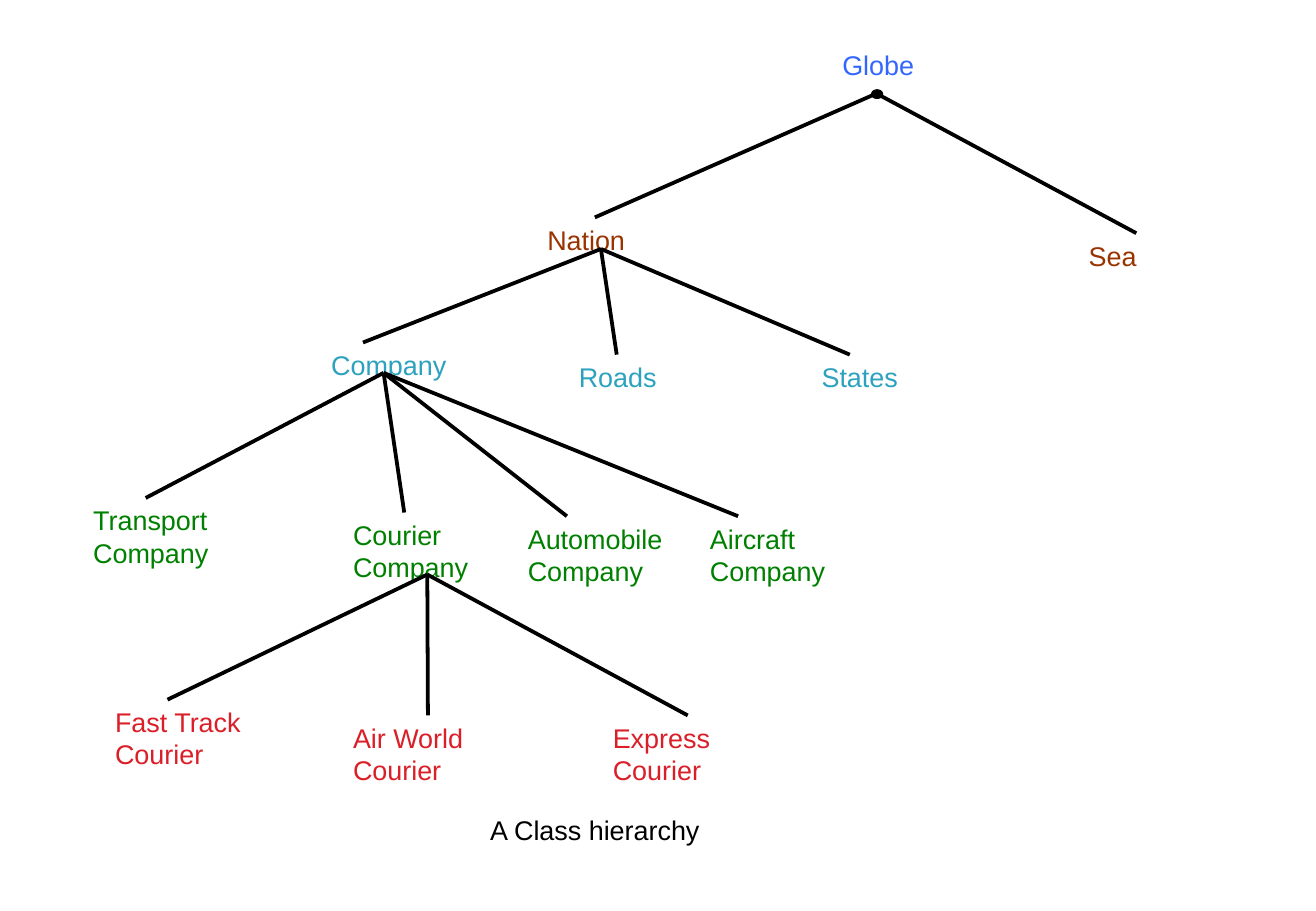
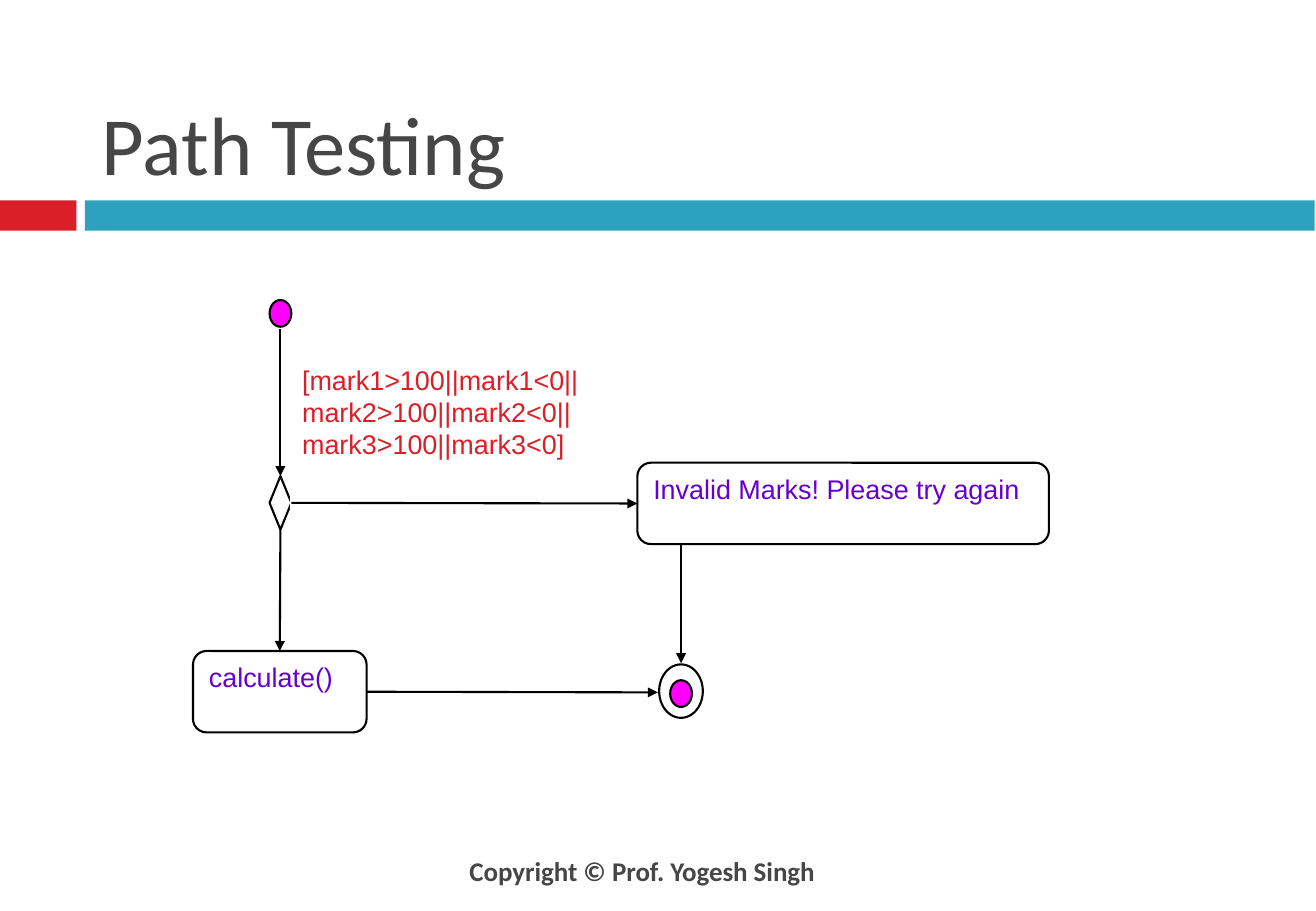
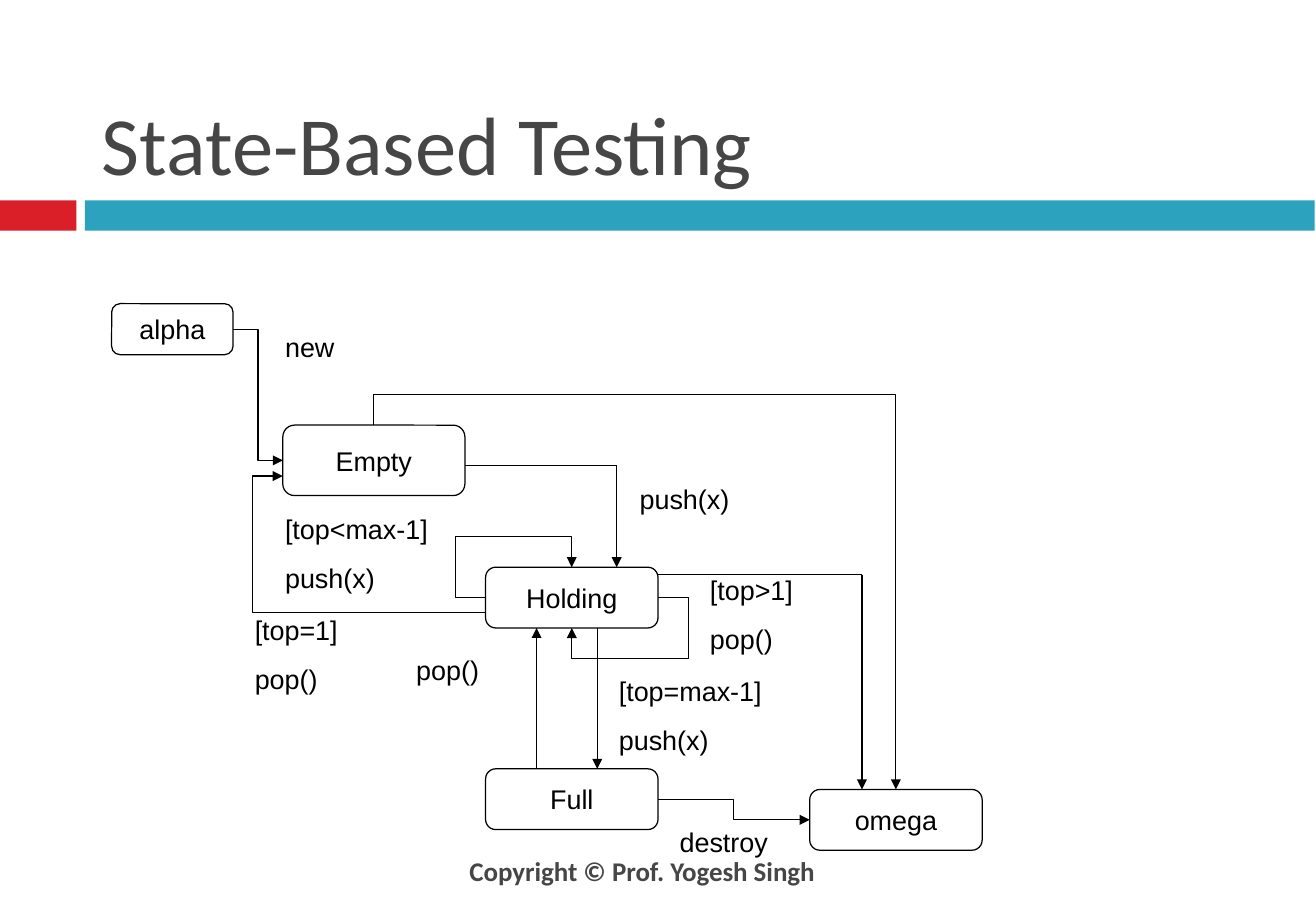
"""Build three slides on class trees, path testing and state-based testing."""
from dataclasses import dataclass
from typing import NamedTuple

import lxml.etree
import pptx
import pptx.dml.color
import pptx.enum.shapes
import pptx.enum.text
import pptx.oxml.ns
import pptx.shapes.autoshape
import pptx.shapes.connector
import pptx.slide
import pptx.util

Inches = pptx.util.Inches
Shape = pptx.shapes.autoshape.Shape
Line = pptx.shapes.connector.Connector
Slide = pptx.slide.Slide
Kind = pptx.enum.shapes.MSO_SHAPE
Join = pptx.enum.shapes.MSO_CONNECTOR
Align = pptx.enum.text.PP_ALIGN
Anchor = pptx.enum.text.MSO_ANCHOR
qn = pptx.oxml.ns.qn

COLORS = {
    "black": "000000", "white": "FFFFFF", "gray": "464646", "red": "DA1F28",
    "teal": "2DA2BF", "blue": "3366FF", "brown": "993300", "green": "008000",
    "pink": "FF00FF", "purple": "6600CC",
}
TOP, LEFT, BOTTOM, RIGHT = range(4)


class Port(NamedTuple):
    shape: Shape
    site: int


class Point(NamedTuple):
    x: float
    y: float


End = Port | Point


@dataclass(frozen=True)
class Look:
    color: str = "black"
    size: float = 16
    bold: bool = False
    font: str = "Arial"
    align: Align = Align.LEFT
    anchor: Anchor = Anchor.TOP
    wrap: bool = True
    pad: float = 0.1
    gap: float = 0


@dataclass(frozen=True)
class Box:
    text: str
    left: float
    top: float
    width: float
    height: float
    color: str = "black"


@dataclass(frozen=True)
class Fan:
    root: Point
    ends: tuple[Point | str, ...]


TITLE = Look("gray", 49, font="Calibri", anchor=Anchor.BOTTOM, pad=0.12)
FOOTER = Look("gray", bold=True, font="Calibri", align=Align.CENTER,
              anchor=Anchor.MIDDLE, pad=0.12)
STATE = Look(align=Align.CENTER, anchor=Anchor.MIDDLE, wrap=False)
LABEL = Look(gap=10)

TREE = (
    Box("Globe", 6.84, 0.35, 0.89, 0.38, "blue"),
    Box("Nation", 4.41, 1.79, 1.07, 0.38, "brown"),
    Box("Sea", 8.87, 1.92, 1.07, 0.38, "brown"),
    Box("States", 6.67, 2.92, 1.07, 0.38, "teal"),
    Box("Roads", 4.67, 2.92, 1.07, 0.38, "teal"),
    Box("Company", 2.63, 2.82, 1.43, 0.38, "teal"),
    Box("Transport Company", 0.67, 4.1, 1.43, 0.64, "green"),
    Box("Courier Company", 2.81, 4.22, 1.43, 0.64, "green"),
    Box("Automobile Company", 4.25, 4.25, 1.43, 0.64, "green"),
    Box("Aircraft Company", 5.75, 4.25, 1.43, 0.64, "green"),
    Box("Fast Track Courier", 0.85, 5.76, 1.43, 0.64, "red"),
    Box("Air World Courier", 2.81, 5.89, 1.43, 0.64, "red"),
    Box("Express Courier", 4.95, 5.89, 1.43, 0.64, "red"),
    Box("A Class hierarchy", 3.94, 6.65, 3.33, 0.38),
)
FANS = (
    Fan(Point(7.22, 0.77), (Point(9.36, 1.92), Point(4.9, 1.79))),
    Fan(Point(4.95, 2.05), (Point(2.99, 2.82), Point(5.08, 2.92), Point(7, 2.92))),
    Fan(Point(3.16, 3.07), (Point(1.2, 4.1), Point(3.33, 4.22),
                            Point(4.67, 4.25), Point(6.08, 4.25))),
    Fan(Point(3.52, 4.73), (Point(1.38, 5.76), "Air World Courier", "Express Courier")),
)
STATES = (
    Box("alpha", 0.92, 2.5, 1, 0.42),
    Box("Empty", 2.33, 3.5, 1.5, 0.58),
    Box("Holding", 4, 4.67, 1.42, 0.5),
    Box("Full", 4, 6.33, 1.42, 0.5),
    Box("omega", 6.67, 6.5, 1.42, 0.5),
)
LABELS = (
    Box("new", 2.25, 2.67, 1, 0.37),
    Box("[top=1]\npop()", 2, 5, 1.25, 0.77),
    Box("pop()", 3.33, 5.33, 0.92, 0.37),
    Box("[top>1]\npop()", 5.75, 4.67, 1.17, 0.77),
    Box("push(x)", 5.17, 3.92, 1.25, 0.37),
    Box("[top=max-1]\npush(x)", 5, 5.5, 2.5, 0.77),
    Box("[top<max-1]\npush(x)", 2.25, 4.17, 1.5, 0.77),
    Box("destroy", 5.5, 6.75, 1.08, 0.37),
)


def shade(name: str) -> pptx.dml.color.RGBColor:
    """Return a named colour."""
    return pptx.dml.color.RGBColor.from_string(COLORS[name])


def write(shape: Shape, text: str, look: Look) -> None:
    """Put styled text in a shape."""
    frame = shape.text_frame
    frame.text = text
    frame.word_wrap = look.wrap
    frame.vertical_anchor = look.anchor
    frame.margin_left = frame.margin_right = Inches(look.pad)
    frame.margin_top = frame.margin_bottom = Inches(look.pad / 2)
    for row, para in enumerate(frame.paragraphs):
        para.alignment = look.align
        para.space_before = pptx.util.Pt(look.gap if row else 0)
        for run in para.runs:
            run.font.name = look.font
            run.font.size = pptx.util.Pt(look.size)
            run.font.bold = look.bold
            run.font.color.rgb = shade(look.color)


def draw(slide: Slide, kind: Kind, box: Box, fill: str = "white",
         edge: float = 0, look: Look | None = None) -> Shape:
    """Draw a preset shape, with text if it has any."""
    shape = slide.shapes.add_shape(
        kind, Inches(box.left), Inches(box.top), Inches(box.width), Inches(box.height))
    shape.shadow.inherit = False
    shape.fill.solid()
    shape.fill.fore_color.rgb = shade(fill)
    if edge:
        shape.line.color.rgb = shade("black")
        shape.line.width = pptx.util.Pt(edge)
    else:
        shape.line.fill.background()
    if box.text:
        write(shape, box.text, look or Look(box.color))
    return shape


def note(slide: Slide, box: Box, look: Look) -> None:
    """Add a plain text box."""
    shape = slide.shapes.add_textbox(
        Inches(box.left), Inches(box.top), Inches(box.width), Inches(box.height))
    write(shape, box.text, look)


def link(slide: Slide, start: End, end: End, width: float,
         arrow: bool = True, kind: Join = Join.STRAIGHT) -> Line:
    """Join two points or ports with a line."""
    spots = [Point(0, 0) if isinstance(spot, Port) else spot for spot in (start, end)]
    line = slide.shapes.add_connector(
        kind, *(Inches(value) for spot in spots for value in spot))
    if isinstance(start, Port):
        line.begin_connect(start.shape, start.site)
    if isinstance(end, Port):
        line.end_connect(end.shape, end.site)
    line.line.color.rgb = shade("black")
    line.line.width = pptx.util.Pt(width)
    props = line._element.spPr
    if arrow:
        lxml.etree.SubElement(props.find(qn("a:ln")), qn("a:tailEnd"), type="triangle")
    lxml.etree.SubElement(props, qn("a:effectLst"))
    return line


def bend(slide: Slide, start: End, end: End, *turns: float, rise: bool = False) -> None:
    """Join two ends with an elbow line, which may set off upwards."""
    line = link(slide, start, end, 0.75, kind=Join.ELBOW)
    props = line._element.spPr
    form = props.find(qn("a:prstGeom"))
    form.set("prst", f"bentConnector{len(turns) + 2}")
    guides = form.find(qn("a:avLst"))
    for rank, turn in enumerate(turns, 1):
        lxml.etree.SubElement(guides, qn("a:gd"), name=f"adj{rank}",
                              fmla=f"val {round(turn * 100000)}")
    if rise:
        wide, high = line.width, line.height
        line.left += (wide - high) // 2
        line.top += (high - wide) // 2
        line.width, line.height = high, wide
        props.xfrm.set("rot", "16200000")
        props.xfrm.set("flipH", "1")


def frame(slide: Slide, title: str) -> None:
    """Add the bands, footer and title."""
    draw(slide, Kind.RECTANGLE, Box("", 0, 1.65, 0.63, 0.25), "red")
    draw(slide, Kind.RECTANGLE, Box("", 0.7, 1.65, 10.13, 0.25), "teal")
    note(slide, Box("Copyright © Prof. Yogesh Singh", 2.08, 6.97, 6.42, 0.4), FOOTER)
    note(slide, Box(title, 0.72, 0.17, 9.66, 1.47), TITLE)


def tree(slide: Slide) -> None:
    """Draw the class tree."""
    draw(slide, Kind.OVAL, Box("", 7.19, 0.75, 0.07, 0.05), "black", 2.25)
    nodes = {box.text: draw(slide, Kind.RECTANGLE, box) for box in TREE}
    for fan in FANS:
        for end in fan.ends:
            spot = Port(nodes[end], TOP) if isinstance(end, str) else end
            link(slide, fan.root, spot, 2.25, arrow=False)


def flow(slide: Slide) -> None:
    """Draw the marks flow chart."""
    frame(slide, "Path Testing")
    edge = 1.25
    draw(slide, Kind.OVAL, Box("", 2.22, 2.47, 0.18, 0.22), "pink", edge)
    choice = draw(slide, Kind.DIAMOND, Box("", 2.22, 3.92, 0.18, 0.44), edge=edge)
    draw(slide, Kind.RECTANGLE, Box(
        "[mark1>100||mark1<0||mark2>100||mark2<0||mark3>100||mark3<0]",
        2.39, 2.94, 3.21, 1.33, "red"))
    wrong = draw(slide, Kind.ROUNDED_RECTANGLE, Box(
        "Invalid Marks! Please try again", 5.25, 3.81, 3.39, 0.67, "purple"), edge=edge)
    right = draw(slide, Kind.ROUNDED_RECTANGLE, Box(
        "calculate()", 1.59, 5.36, 1.43, 0.67, "purple"), edge=edge)
    draw(slide, Kind.OVAL, Box("", 5.43, 5.47, 0.36, 0.44), edge=edge)
    draw(slide, Kind.OVAL, Box("", 5.52, 5.6, 0.18, 0.22), "pink", edge)
    for start, end in (
        (Point(2.31, 2.71), Port(choice, TOP)),
        (Port(choice, BOTTOM), Port(right, TOP)),
        (Port(choice, RIGHT), Port(wrong, LEFT)),
        (Port(right, RIGHT), Point(5.42, 5.7)),
        (Point(5.61, 4.48), Point(5.61, 5.46)),
    ):
        link(slide, start, end, edge)


def chart(slide: Slide) -> None:
    """Draw the stack state chart."""
    frame(slide, "State-Based Testing")
    alpha, empty, hold, full, omega = (
        draw(slide, Kind.ROUNDED_RECTANGLE, box, edge=0.75, look=STATE) for box in STATES)
    bend(slide, Port(hold, RIGHT), Port(hold, BOTTOM), -0.353, 2)
    bend(slide, Port(hold, LEFT), Port(hold, TOP), -0.353, 2)
    bend(slide, Point(4, 5.04), Point(2.33, 3.92), 1.15)
    bend(slide, Port(empty, TOP), Port(omega, TOP), -0.083, rise=True)
    bend(slide, Port(full, RIGHT), Port(omega, LEFT), 0.5)
    bend(slide, Port(alpha, RIGHT), Port(empty, LEFT), 0.5)
    for start, end, arrow in (
        (Point(3.83, 3.83), Point(5.08, 3.83), False),
        (Point(5.08, 3.83), Point(5.08, 4.67), True),
        (Point(4.92, 5.17), Point(4.92, 6.33), True),
        (Point(4.42, 6.33), Point(4.42, 5.17), True),
        (Point(5.42, 4.73), Point(7.1, 4.73), False),
        (Point(7.1, 4.73), Point(7.1, 6.5), True),
    ):
        link(slide, start, end, 0.75, arrow)
    for box in LABELS:
        note(slide, box, LABEL)


def main() -> None:
    """Build and save the deck."""
    deck = pptx.Presentation()
    deck.slide_width, deck.slide_height = Inches(10.84), Inches(7.5)
    for build in (tree, flow, chart):
        build(deck.slides.add_slide(deck.slide_layouts[6]))
    deck.save("out.pptx")


if __name__ == "__main__":
    main()
